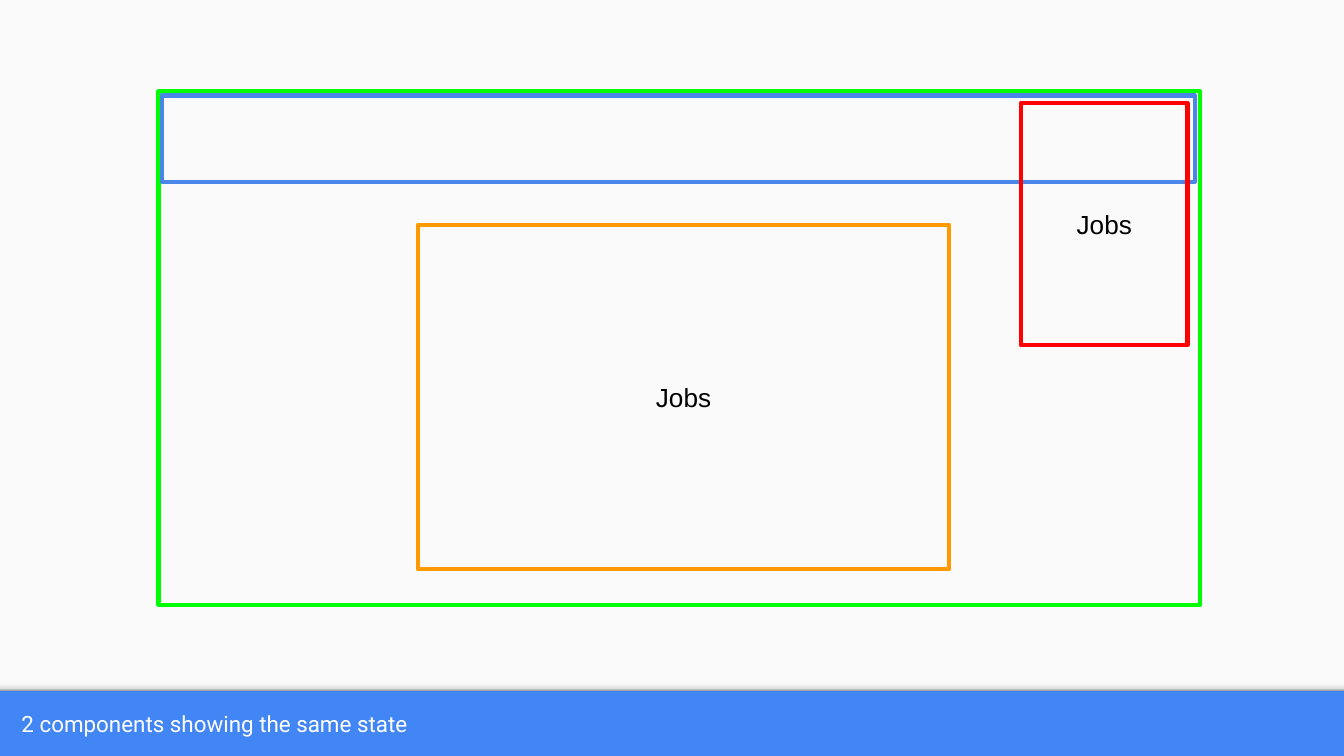
from copy import deepcopy

from lxml.etree import SubElement
from pptx import Presentation
from pptx.dml.color import RGBColor
from pptx.enum.shapes import MSO_SHAPE
from pptx.enum.text import MSO_ANCHOR, MSO_AUTO_SIZE, PP_ALIGN
from pptx.oxml.ns import qn
from pptx.util import Inches, Pt

WIDTH = 10
HEIGHT = WIDTH * 9 / 16
BAND_TOP = 5.14
SHADOW_HEIGHT = 0.08
SHADOW_STOPS = [(0, "F9F9F9"), (36, "F9F9F9"), (80, "DEDEDE"), (100, "999999")]


def colour(value):
    return RGBColor.from_string(value)


def place(shape, box):
    shape.left, shape.top, shape.width, shape.height = map(Inches, box)


def inner_box(box, left, top, width, height):
    return (box[0] + left * box[2] / 100, box[1] + top * box[3] / 100,
            width * box[2] / 100, height * box[3] / 100)


def add_rectangle(slide, box):
    shape = slide.shapes.add_shape(MSO_SHAPE.RECTANGLE, *map(Inches, box))
    shape.shadow.inherit = False
    shape.fill.background()
    shape.line.fill.background()
    return shape


def format_text(shape, text, size, font_name, font_colour, alignment):
    frame = shape.text_frame
    frame.word_wrap = True
    frame.auto_size = MSO_AUTO_SIZE.NONE
    frame.vertical_anchor = MSO_ANCHOR.MIDDLE
    frame.margin_left = frame.margin_right = Inches(0.1)
    frame.margin_top = frame.margin_bottom = Inches(0.1)
    frame.text = text
    paragraph = frame.paragraphs[0]
    paragraph.alignment = alignment
    paragraph.space_before = Pt(0)
    paragraph.font.size = Pt(size)
    paragraph.font.name = font_name
    paragraph.font.bold = False
    paragraph.font.color.rgb = colour(font_colour)


def add_paper(slide, box):
    left, top, width, height = box
    paper = add_rectangle(slide, box)
    paper.fill.solid()
    paper.fill.fore_color.rgb = colour("FAFAFA")

    shadow = add_rectangle(
        slide, (left, top + height - SHADOW_HEIGHT, width, SHADOW_HEIGHT))
    shadow.fill.gradient()
    shadow.fill.gradient_angle = 270
    stop_list = shadow.element.spPr.find(qn("a:gradFill")).find(qn("a:gsLst"))
    for _ in range(len(SHADOW_STOPS) - len(stop_list)):
        stop_list.append(deepcopy(stop_list[0]))
    for stop, (position, value) in zip(shadow.fill.gradient_stops, SHADOW_STOPS):
        stop.color.rgb = colour(value)
        stop.color.brightness = 0
        stop.position = position / 100


def add_caption(slide, box, text):
    caption = slide.placeholders[1]
    place(caption, box)
    format_text(caption, text, 12, "Roboto", "FFFFFF", PP_ALIGN.LEFT)


def add_component(slide, box, line_colour, label=None):
    component = add_rectangle(slide, box)
    component.line.color.rgb = colour(line_colour)
    component.line.width = Pt(2.25)
    SubElement(component.element.spPr.find(qn("a:ln")), qn("a:round"))
    if label:
        format_text(component, label, 14, "Arial", "000000", PP_ALIGN.CENTER)


def add_app_diagram(slide, box):
    add_component(slide, box, "00FF00")
    add_component(slide, inner_box(box, 0.3, 0.8, 99.2, 16.8), "4A86E8")
    add_component(slide, inner_box(box, 82.8, 2.3, 16, 47.2), "FF0000", "Jobs")
    add_component(slide, inner_box(box, 24.9, 26, 51, 67.1), "FF9900", "Jobs")


def main():
    presentation = Presentation()
    presentation.slide_width = Inches(WIDTH)
    presentation.slide_height = Inches(HEIGHT)
    slide = presentation.slides.add_slide(
        presentation.slide_layouts.get_by_name("Section Header"))
    title = slide.shapes.title.element
    title.getparent().remove(title)
    slide.background.fill.solid()
    slide.background.fill.fore_color.rgb = colour("4285F4")

    add_paper(slide, (0, 0, WIDTH, BAND_TOP))
    add_caption(slide, (0.06, BAND_TOP, 9.17, HEIGHT - BAND_TOP),
                "2 components showing the same state")
    add_app_diagram(slide, (1.18, 0.68, 7.75, 3.82))
    presentation.save("out.pptx")


if __name__ == "__main__":
    main()
